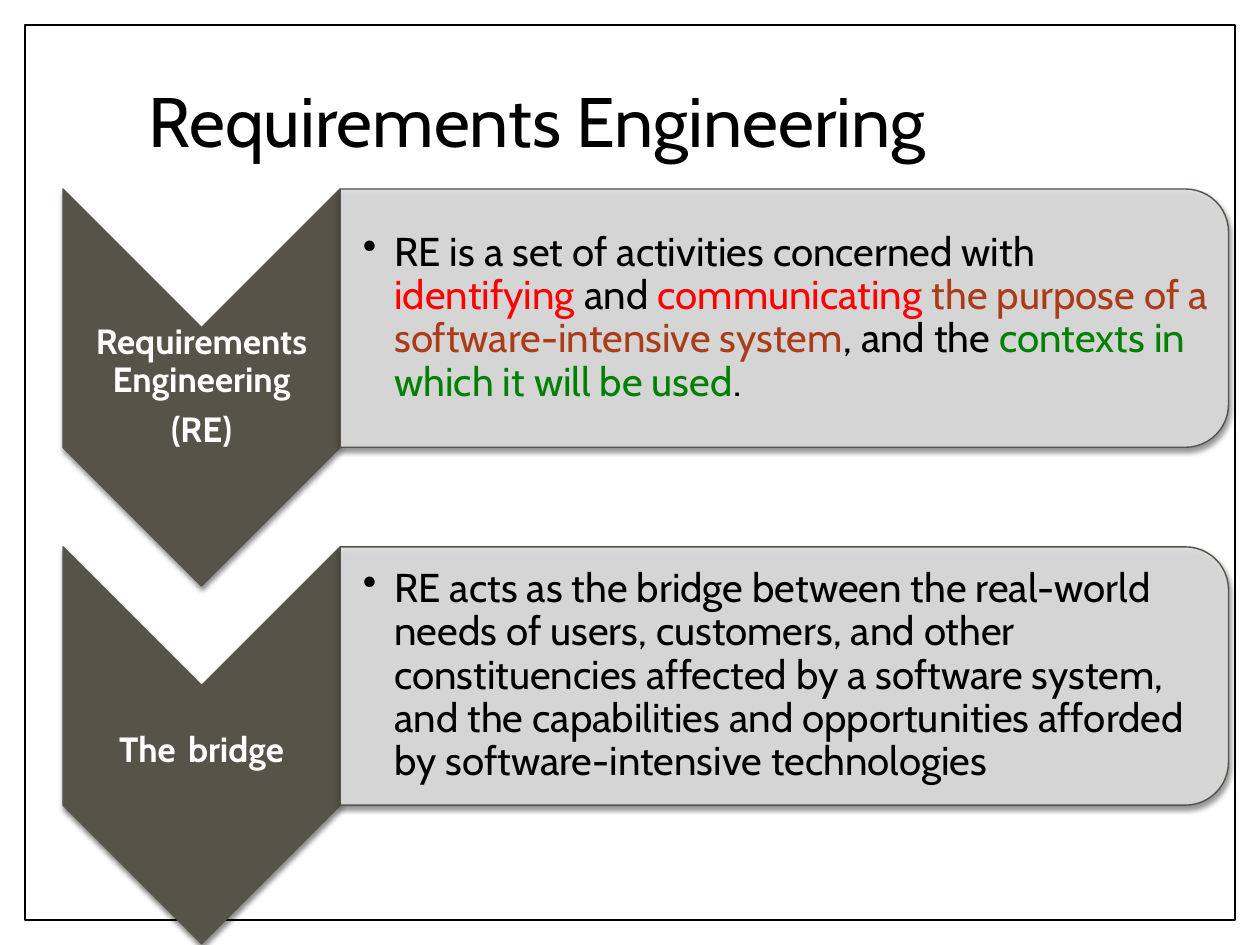
from lxml.etree import SubElement
from pptx import Presentation
from pptx.dml.color import RGBColor
from pptx.enum.shapes import MSO_SHAPE
from pptx.enum.text import MSO_ANCHOR, PP_ALIGN
from pptx.oxml import parse_xml
from pptx.oxml.ns import nsdecls, qn
from pptx.util import Inches, Pt

FONT = "Cabin"
BLACK = RGBColor(0x00, 0x00, 0x00)
WHITE = RGBColor(0xFF, 0xFF, 0xFF)
OLIVE = RGBColor(0x56, 0x53, 0x49)
GREY = RGBColor(0xDD, 0xDD, 0xDD)
RED = RGBColor(0xFF, 0x00, 0x00)
RUST = RGBColor(0xAB, 0x3C, 0x19)
GREEN = RGBColor(0x00, 0x80, 0x00)

FIRST_TOP, ROW_PITCH = 1.5, 2.84
CHEVRON_LEFT, CHEVRON_WIDTH, CHEVRON_HEIGHT = 0.5, 2.2, 3.15
PANEL_LEFT, PANEL_WIDTH, PANEL_HEIGHT = 2.7, 7.05, 2.05

# Each row: label paragraphs as (text, size) spans, then body as (text, colour) spans.
ROWS = [
    ([[("Requirements Engineering", 20)], [("(RE)", 20)]],
     [("RE is a set of activities concerned with ", BLACK),
      ("identifying", RED), (" and ", BLACK), ("communicating ", RED),
      ("the purpose of a software-intensive system", RUST),
      (", and the ", BLACK),
      ("contexts in which it will be used", GREEN), (".", BLACK)]),
    ([[("The", 20), (" ", 31), ("bridge", 20)]],
     [("RE acts as the bridge between the real-world needs of users, customers, "
       "and other constituencies affected by a software system, and the "
       "capabilities and opportunities afforded by software-intensive "
       "technologies", BLACK)]),
]


def add_span(para, text, size, color, bold=False):
    span = para.add_run()
    span.text = text
    span.font.name = FONT
    span.font.size = Pt(size)
    span.font.bold = bold
    span.font.color.rgb = color


def add_text_box(slide, left, top, width, height, insets=(0.1, 0.05, 0.1, 0.05)):
    box = slide.shapes.add_textbox(
        Inches(left), Inches(top), Inches(width), Inches(height))
    frame = box.text_frame
    frame.word_wrap = True
    frame.vertical_anchor = MSO_ANCHOR.MIDDLE
    (frame.margin_left, frame.margin_top,
     frame.margin_right, frame.margin_bottom) = map(Inches, insets)
    frame.paragraphs[0].line_spacing = 0.9
    return frame


def add_frame(slide):
    frame = slide.shapes.add_shape(
        MSO_SHAPE.RECTANGLE, Inches(0.2), Inches(0.2), Inches(9.6), Inches(7.1))
    frame.shadow.inherit = False
    frame.fill.solid()
    frame.fill.fore_color.rgb = WHITE
    frame.line.color.rgb = BLACK
    frame.line.width = Pt(1)


def add_title(slide, text):
    frame = add_text_box(slide, 1.08, 0.25, 8.1, 1.48)
    add_span(frame.paragraphs[0], text, 40, BLACK)


def add_turned_shape(slide, kind, left, top, width, height, color):
    """Add a shape turned by 90 degrees that covers the given area."""
    shape = slide.shapes.add_shape(
        kind, Inches(left + (width - height) / 2),
        Inches(top + (height - width) / 2), Inches(height), Inches(width))
    shape.rotation = 90
    shape.fill.solid()
    shape.fill.fore_color.rgb = color
    shape.line.color.rgb = OLIVE
    shape.line.width = Pt(0.79)
    shape._element.spPr.append(parse_xml(
        f'<a:effectLst {nsdecls("a")}>'
        f'<a:outerShdw blurRad="{Pt(3)}" dist="{Pt(2)}" dir="5400000" rotWithShape="0">'
        '<a:srgbClr val="000000"><a:alpha val="45000"/></a:srgbClr>'
        '</a:outerShdw></a:effectLst>'))
    return shape


def add_chevron(slide, top, label):
    add_turned_shape(slide, MSO_SHAPE.CHEVRON, CHEVRON_LEFT, top,
                     CHEVRON_WIDTH, CHEVRON_HEIGHT, OLIVE)
    notch = CHEVRON_WIDTH / 2
    frame = add_text_box(slide, CHEVRON_LEFT, top + notch, CHEVRON_WIDTH,
                         CHEVRON_HEIGHT - 2 * notch, (0.01,) * 4)
    for index, spans in enumerate(label):
        para = frame.add_paragraph() if index else frame.paragraphs[0]
        para.alignment = PP_ALIGN.CENTER
        para.line_spacing = 0.9
        para.space_after = Pt(7)
        for text, size in spans:
            add_span(para, text, size, WHITE, bold=True)


def add_panel(slide, top, body):
    panel = add_turned_shape(slide, MSO_SHAPE.ROUND_2_SAME_RECTANGLE, PANEL_LEFT,
                             top, PANEL_WIDTH, PANEL_HEIGHT, GREY)
    color = panel._element.spPr.find(qn("a:solidFill")).find(qn("a:srgbClr"))
    SubElement(color, qn("a:alpha"), val="90000")
    frame = add_text_box(slide, PANEL_LEFT, top + 0.1, PANEL_WIDTH - 0.1,
                         PANEL_HEIGHT - 0.2, (0.18, 0.02, 0.02, 0.02))
    para = frame.paragraphs[0]
    properties = para._p.get_or_add_pPr()
    properties.set("marL", str(Inches(0.25)))
    properties.set("indent", str(-Inches(0.25)))
    SubElement(properties, qn("a:buChar"), char="•")
    for text, span_color in body:
        add_span(para, text, 23, span_color)


def main():
    deck = Presentation()
    deck.slide_width, deck.slide_height = Inches(10), Inches(7.5)
    slide = deck.slides.add_slide(deck.slide_layouts[6])
    add_frame(slide)
    add_title(slide, "Requirements Engineering")
    for index, (label, body) in enumerate(ROWS):
        top = FIRST_TOP + index * ROW_PITCH
        add_chevron(slide, top, label)
        add_panel(slide, top, body)
    deck.save("out.pptx")


if __name__ == "__main__":
    main()
